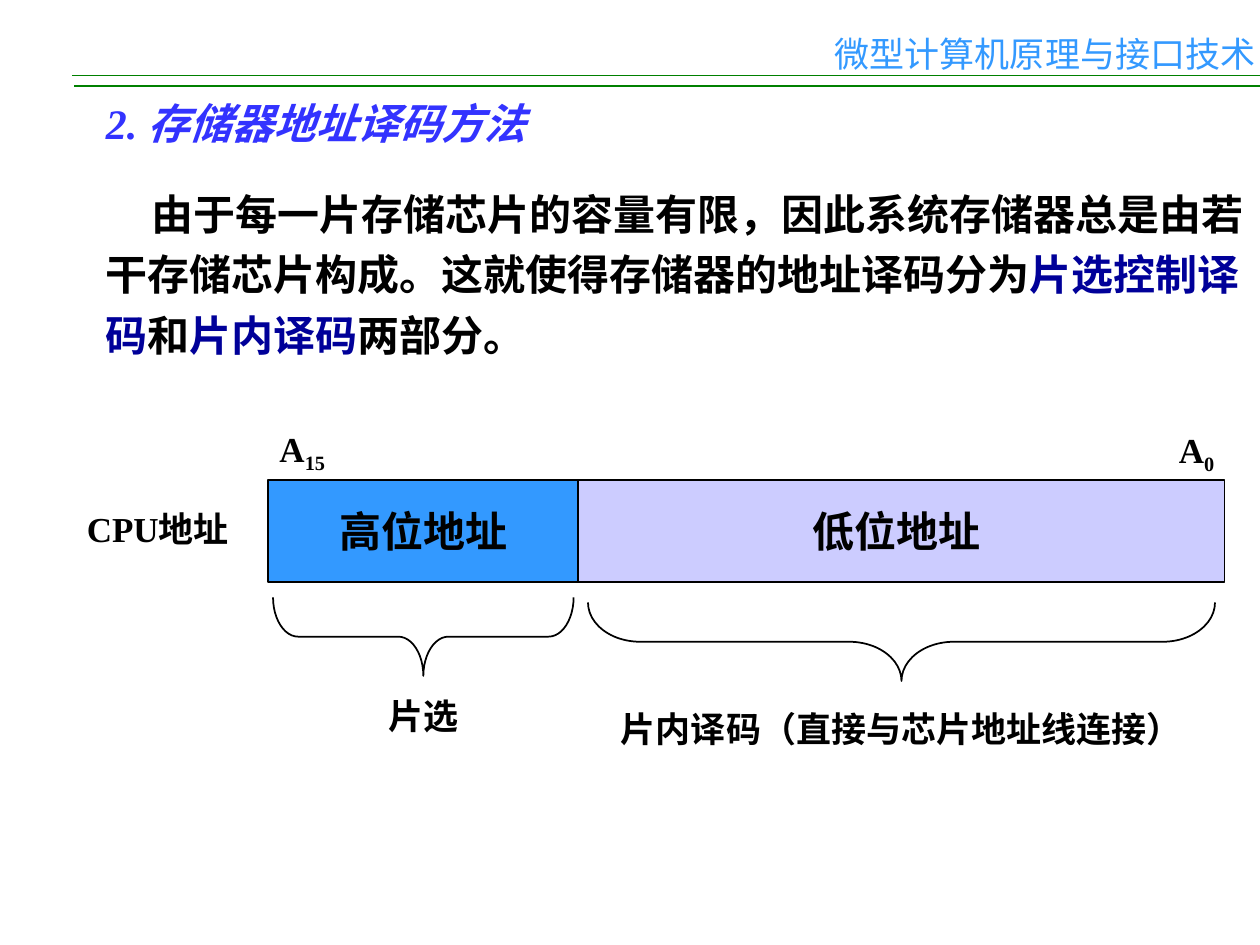
from lxml import etree
from pptx import Presentation
from pptx.dml.color import RGBColor
from pptx.enum.shapes import MSO_CONNECTOR, MSO_SHAPE
from pptx.enum.text import MSO_ANCHOR, MSO_AUTO_SIZE, PP_ALIGN
from pptx.oxml.ns import qn
from pptx.util import Inches, Pt

LINE = MSO_CONNECTOR.STRAIGHT
RECT, BRACE = MSO_SHAPE.RECTANGLE, MSO_SHAPE.RIGHT_BRACE
TOP, MIDDLE = MSO_ANCHOR.TOP, MSO_ANCHOR.MIDDLE
LEFT, CENTER = PP_ALIGN.LEFT, PP_ALIGN.CENTER
NO_FIT = MSO_AUTO_SIZE.NONE

BLACK = RGBColor(0x00, 0x00, 0x00)
GREEN = RGBColor(0x00, 0x80, 0x00)
SKY = RGBColor(0x33, 0x99, 0xFF)
LAVENDER = RGBColor(0xCC, 0xCC, 0xFF)
VIOLET = RGBColor(0x33, 0x33, 0xFF)
NAVY = RGBColor(0x00, 0x00, 0x99)
SERIF, SANS = "Times New Roman", "Noto Sans CJK SC"


def sub(box, x, y, w, h):
    """Return the part of a box given by shares of its width and height."""
    left, top, width, height = box
    return (round(left + x * width), round(top + y * height),
            round(w * width), round(h * height))


def add_run(p, text, size=20, color=BLACK, bold=True, italic=False,
            font=SERIF, baseline=0):
    """Add formatted text to a paragraph."""
    r = p.add_run()
    r.text = text
    f = r.font
    f.size, f.bold, f.italic, f.name = Pt(size), bold, italic, font
    f.color.rgb = color
    rPr = r._r.get_or_add_rPr()
    etree.SubElement(rPr, qn("a:ea")).set("typeface", SANS)
    if baseline:
        rPr.set("baseline", str(baseline * 1000))


def set_frame(sp, box, wrap=True, anchor=TOP, align=LEFT):
    """Place a text shape and return its first paragraph."""
    sp.left, sp.top, sp.width, sp.height = box
    tf = sp.text_frame
    tf.auto_size, tf.word_wrap, tf.vertical_anchor = NO_FIT, wrap, anchor
    p = tf.paragraphs[0]
    p.alignment = align
    p.space_before = Pt(0)
    return p


def add_label(s, box, text, subscript="", **fmt):
    """Add a centred one-line label with an optional subscript."""
    p = set_frame(s.shapes.add_textbox(*box), box, wrap=False, align=CENTER)
    add_run(p, text, **fmt)
    if subscript:
        add_run(p, subscript, baseline=-25, **fmt)


def add_header(s, box):
    """Draw the course name above two thin rules."""
    for x, y in ((0.059, 0.85), (0.057, 0.75)):
        left, top, width, _ = sub(box, x, y, 1 - x, 0)
        c = s.shapes.add_connector(LINE, left, top, left + width, top)
        c.line.color.rgb, c.line.width = GREEN, Pt(0.75)
        etree.SubElement(c._element.spPr, qn("a:effectLst"))
    add_label(s, sub(box, 0.689, 0.26, 0.281, 0.35), "微型计算机原理与接口技术",
              color=SKY, bold=False, font=SANS)


def add_text(s, box):
    """Fill the heading and the explanatory paragraph."""
    p = set_frame(s.shapes.title, sub(box, 0, 0, 1, 0.26))
    add_run(p, "2. 存储器地址译码方法", size=24, color=VIOLET, italic=True)

    p = set_frame(s.placeholders[1], sub(box, 0, 0.29, 1, 0.71))
    p.line_spacing = 1.2
    pPr = p._p.get_or_add_pPr()
    pPr.set("marL", "0")
    pPr.set("indent", str(Inches(0.36)))
    etree.SubElement(pPr, qn("a:buNone"))
    for text, color in (
        ("由于每一片存储芯片的容量有限，因此系统存储器总是由若干存储芯片构成。"
         "这就使得存储器的地址译码分为", BLACK),
        ("片选控制译码", NAVY),
        ("和", BLACK),
        ("片内译码", NAVY),
        ("两部分。", BLACK),
    ):
        add_run(p, text, size=24, color=color)


def add_brace(s, box):
    """Draw a brace that spans the box and points down."""
    left, top, span, depth = box
    sp = s.shapes.add_shape(BRACE, left + (span - depth) // 2,
                            top - (span - depth) // 2, depth, span)
    sp.rotation = 90
    sp.adjustments[0] = span / depth / 12
    sp.shadow.inherit = False
    sp.fill.background()
    sp.line.color.rgb, sp.line.width = BLACK, Pt(1)


def add_field(s, box, text, fill, caption, brace_y, caption_y):
    """Draw an address field with its brace and caption below."""
    sp = s.shapes.add_shape(RECT, *box)
    sp.shadow.inherit = False
    sp.fill.solid()
    sp.fill.fore_color.rgb = fill
    sp.line.color.rgb, sp.line.width = BLACK, Pt(1)
    p = set_frame(sp, box, wrap=False, anchor=MIDDLE, align=CENTER)
    add_run(p, text, size=24)
    add_brace(s, sub(box, 0.015, brace_y, 0.97, 0.77))
    add_label(s, sub(box, 0, caption_y, 1, 0.54), caption)


def add_address_bar(s, box):
    """Draw the address split into high and low fields with labels."""
    split = 0.324
    add_field(s, sub(box, 0, 0, split, 1), "高位地址", SKY, "片选", 1.15, 2.04)
    add_field(s, sub(box, split, 0, 1 - split, 1), "低位地址 ", LAVENDER,
              "片内译码（直接与芯片地址线连接）", 1.2, 2.17)
    add_label(s, sub(box, -0.008, -0.58, 0.087, 0.59), "A", "15")
    add_label(s, sub(box, 0.938, -0.57, 0.065, 0.59), "A", "0")
    add_label(s, sub(box, -0.207, 0.21, 0.183, 0.54), "CPU地址")


def main():
    """Build the slide and save it."""
    prs = Presentation()
    prs.slide_width, prs.slide_height = Inches(10), Inches(7.5)
    s = prs.slides.add_slide(prs.slide_layouts[1])
    page = (0, 0, prs.slide_width, prs.slide_height)
    add_header(s, sub(page, 0, 0, 1, 0.107))
    add_text(s, sub(page, 0.074, 0.097, 0.926, 0.292))
    add_address_bar(s, sub(page, 0.213, 0.508, 0.759, 0.108))
    prs.save("out.pptx")


if __name__ == "__main__":
    main()
